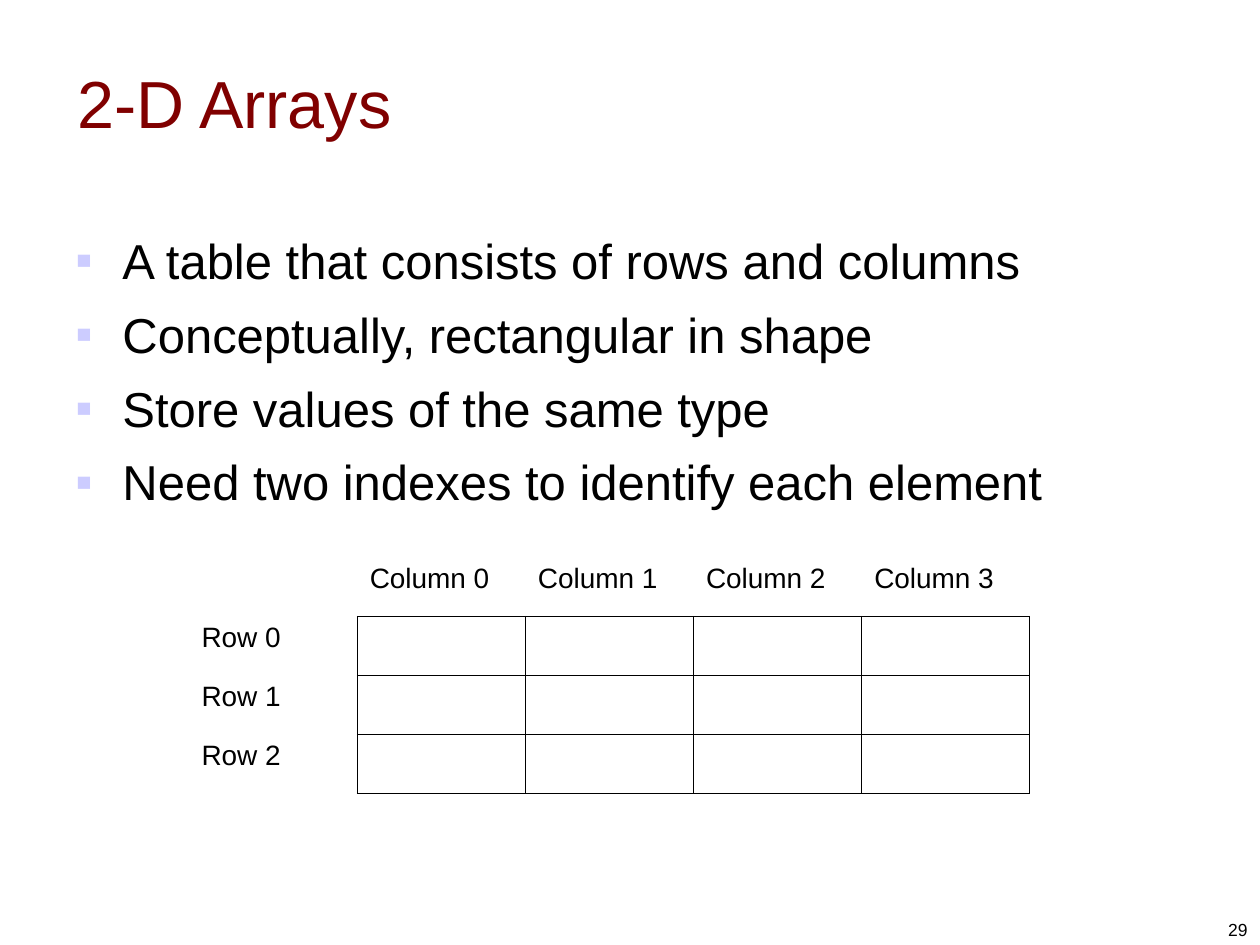
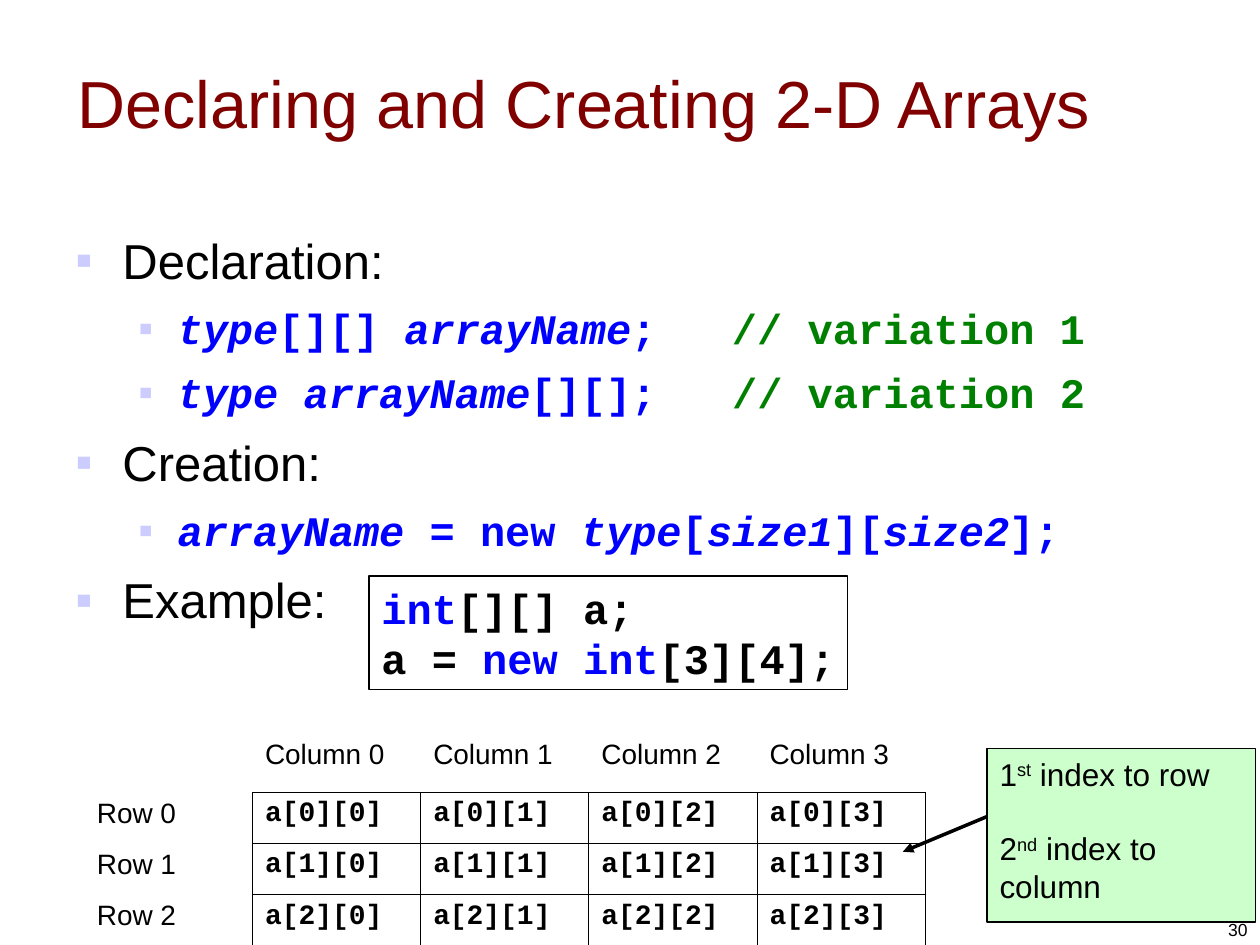
from pptx import Presentation
from pptx.dml.color import RGBColor
from pptx.enum.shapes import MSO_CONNECTOR, MSO_SHAPE
from pptx.enum.text import MSO_ANCHOR, MSO_AUTO_SIZE, PP_ALIGN
from pptx.oxml import parse_xml
from pptx.oxml.ns import nsdecls
from pptx.util import Cm, Pt

COLORS = {
    "black": "000000",
    "title": "800000",
    "bullet": "CCCCFF",
    "code": "0000FF",
    "comment": "008000",
    "note": "CCFFCC",
}

# Text styles: font, size, colour, bold, italic
STYLES = {
    "title": ("Arial", 38, "title", False, False),
    "body": ("Arial", 28, "black", False, False),
    "code": ("Courier New", 24, "code", True, False),
    "name": ("Courier New", 24, "code", True, True),
    "plain code": ("Courier New", 24, "black", True, False),
    "comment": ("Courier New", 24, "comment", True, False),
    "label": ("Arial", 16, "black", False, False),
    "element": ("Courier New", 16, "black", True, False),
    "note": ("Arial", 18, "black", False, False),
    "number": ("Arial", 10, "black", False, False),
}

# Bullet levels: left margin, hanging indent, space before
LEVELS = [(Cm(0.95), Cm(-0.95), Pt(8.5)), (Cm(2.06), Cm(-0.79), Pt(7.7))]

ROWS, COLUMNS = 3, 4
COLUMN_WIDTH = Cm(3.39)
HEADER_HEIGHT = Cm(1.19)


def rgb(name):
    return RGBColor.from_string(COLORS[name])


def add_run(p, text, style, superscript=False):
    font, size, color, bold, italic = STYLES[style]
    r = p.add_run()
    r.text = text
    r.font.name, r.font.size = font, Pt(size)
    r.font.bold, r.font.italic = bold, italic
    r.font.color.rgb = rgb(color)
    if superscript:
        r.font._element.set("baseline", "30000")


def add_paragraph(tf, index):
    p = tf.paragraphs[0] if index == 0 else tf.add_paragraph()
    p.alignment = PP_ALIGN.LEFT
    return p


def add_slide(prs, title, number):
    s = prs.slides.add_slide(prs.slide_layouts[5])
    # Title
    sp = s.shapes.title
    sp.left, sp.top, sp.width, sp.height = Cm(1.3), Cm(0.46), Cm(22.86), Cm(3.18)
    tf = sp.text_frame
    tf.vertical_anchor = MSO_ANCHOR.MIDDLE
    tf.auto_size = MSO_AUTO_SIZE.NONE
    add_run(add_paragraph(tf, 0), title, "title")
    # Slide number
    tf = s.shapes.add_textbox(Cm(19.48), Cm(17.81), Cm(5.92), Cm(1.27)).text_frame
    tf.word_wrap = True
    tf.vertical_anchor = MSO_ANCHOR.BOTTOM
    p = add_paragraph(tf, 0)
    p.alignment = PP_ALIGN.RIGHT
    add_run(p, str(number), "number")
    return s


def add_bullets(s, items):
    """Each item is a level and its list of (text, style) runs."""
    tf = s.shapes.add_textbox(Cm(1.27), Cm(4.45), Cm(22.86), Cm(12.57)).text_frame
    tf.word_wrap = True
    tf.margin_top = Cm(0.2)
    for i, (level, runs) in enumerate(items):
        p = add_paragraph(tf, i)
        margin, indent, space = LEVELS[level]
        p.level = level
        if i:
            p.space_before = space
        pPr = p._p.get_or_add_pPr()
        pPr.set("marL", str(margin))
        pPr.set("indent", str(indent))
        for xml in (
            f'<a:buClr {nsdecls("a")}><a:srgbClr val="{COLORS["bullet"]}"/></a:buClr>',
            f'<a:buFont {nsdecls("a")} typeface="Arial"/>',
            f'<a:buChar {nsdecls("a")} char="▪"/>',
        ):
            pPr.append(parse_xml(xml))
        for text, style in runs:
            add_run(p, text, style)


def set_borders(cell, sides):
    """Draw the listed sides (L, R, T, B) and clear the others."""
    tcPr = cell._tc.get_or_add_tcPr()
    for i, side in enumerate("LRTB"):
        paint = "<a:noFill/>"
        if side in sides:
            paint = f'<a:solidFill><a:srgbClr val="{COLORS["black"]}"/></a:solidFill>'
        tcPr.insert(i, parse_xml(
            f'<a:ln{side} {nsdecls("a")} w="{Pt(0.45)}">{paint}</a:ln{side}>'))


def add_array_table(s, left, top, row_height, array=None):
    """Grid with row and column labels; elements are named if array is given."""
    table = s.shapes.add_table(
        ROWS + 1, COLUMNS + 1, left, top, COLUMN_WIDTH * (COLUMNS + 1),
        HEADER_HEIGHT + row_height * ROWS).table
    table.first_row = table.horz_banding = False
    for column in table.columns:
        column.width = COLUMN_WIDTH
    for i, row in enumerate(table.rows):
        row.height = row_height if i else HEADER_HEIGHT
        for j, cell in enumerate(row.cells):
            text, style, sides = "", "label", ""
            if i and j:
                sides, style = "LRTB", "element"
                text = f"{array}[{i - 1}][{j - 1}]" if array else ""
            elif j:
                text, sides = f"Column {j - 1}", "B"
            elif i:
                text, sides = f"Row {i - 1}", "R"
            cell.fill.background()
            set_borders(cell, sides)
            if text:
                add_run(add_paragraph(cell.text_frame, 0), text, style)


def add_box(s, left, top, width, height, fill=None, wrap=True):
    sp = s.shapes.add_shape(MSO_SHAPE.RECTANGLE, left, top, width, height)
    sp.shadow.inherit = False
    if fill:
        sp.fill.solid()
        sp.fill.fore_color.rgb = rgb(fill)
    else:
        sp.fill.background()
    sp.line.color.rgb = rgb("black")
    sp.line.width = Pt(0.75)
    tf = sp.text_frame
    tf.word_wrap = wrap
    tf.vertical_anchor = MSO_ANCHOR.TOP
    return tf


def add_arrow(s, x1, y1, x2, y2):
    line = s.shapes.add_connector(MSO_CONNECTOR.STRAIGHT, x1, y1, x2, y2)
    line.line.color.rgb = rgb("black")
    line.line.width = Pt(2)
    line.line._get_or_add_ln().append(
        parse_xml(f'<a:tailEnd {nsdecls("a")} type="triangle"/>'))
    line._element.spPr.append(parse_xml(f'<a:effectLst {nsdecls("a")}/>'))


def build_arrays_slide(prs):
    s = add_slide(prs, "2-D Arrays", 29)
    add_bullets(s, [(0, [(text, "body")]) for text in (
        "A table that consists of rows and columns",
        "Conceptually, rectangular in shape",
        "Store values of the same type",
        "Need two indexes to identify each element",
    )])
    add_array_table(s, Cm(3.81), Cm(11.23), HEADER_HEIGHT)


def build_declaring_slide(prs):
    s = add_slide(prs, "Declaring and Creating 2-D Arrays", 30)
    add_bullets(s, [
        (0, [("Declaration:", "body")]),
        (1, [("type", "name"), ("[][] ", "code"), ("arrayName", "name"),
             (";   ", "code"), ("// variation 1", "comment")]),
        (1, [("type arrayName", "name"), ("[][];   ", "code"),
             ("// variation 2", "comment")]),
        (0, [("Creation:", "body")]),
        (1, [("arrayName", "name"), (" = new ", "code"), ("type", "name"),
             ("[", "code"), ("size1", "name"), ("][", "code"),
             ("size2", "name"), ("];", "code")]),
        (0, [("Example:", "body")]),
    ])
    add_array_table(s, Cm(1.7), Cm(14.78), Cm(1.03), array="a")

    # Note on the two indexes
    add_arrow(s, Cm(19.9), Cm(16.46), Cm(18.2), Cm(17.17))
    tf = add_box(s, Cm(19.9), Cm(15.09), Cm(5.41), Cm(3.5), fill="note")
    for i, (digit, ending, target) in enumerate(
            [("1", "st", "row"), ("2", "nd", "column")]):
        p = add_paragraph(tf, i)
        if i:
            p.space_before = Pt(21)
        add_run(p, digit, "note")
        add_run(p, ending, "note", superscript=True)
        add_run(p, f" index to {target}", "note")

    # Example code
    tf = add_box(s, Cm(7.44), Cm(11.61), Cm(9.65), Cm(2.29), wrap=False)
    for i, runs in enumerate([
        [("int", "code"), ("[][] a;", "plain code")],
        [("a = ", "plain code"), ("new int", "code"), ("[3][4];", "plain code")],
    ]):
        p = add_paragraph(tf, i)
        for text, style in runs:
            add_run(p, text, style)


def main():
    prs = Presentation()
    prs.slide_width, prs.slide_height = Cm(25.4), Cm(19.05)
    build_arrays_slide(prs)
    build_declaring_slide(prs)
    prs.save("out.pptx")


if __name__ == "__main__":
    main()
